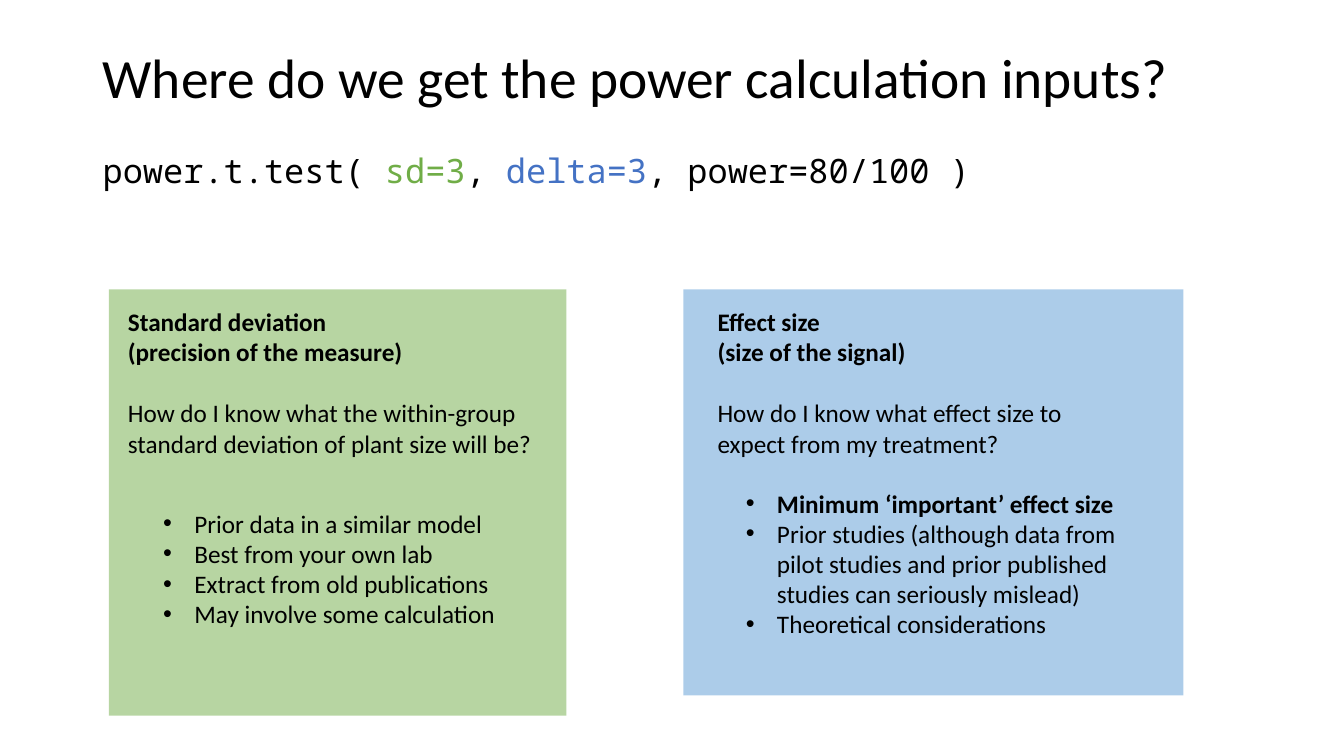
from lxml.etree import SubElement
from pptx import Presentation
from pptx.dml.color import RGBColor
from pptx.enum.shapes import MSO_SHAPE
from pptx.enum.text import MSO_ANCHOR
from pptx.oxml.ns import qn
from pptx.util import Inches, Pt

BLACK = RGBColor(0x00, 0x00, 0x00)
GREEN = RGBColor(0x70, 0xAD, 0x47)
BLUE = RGBColor(0x44, 0x72, 0xC4)
SKY = RGBColor(0x5B, 0x9B, 0xD5)


class Board:
    font = "Calibri"
    mono = "Noto Sans Mono"
    size = 18
    line = 22
    indent = 0.31

    def __init__(self, deck):
        self.wide, self.high = deck.slide_width, deck.slide_height
        self.slide = deck.slides.add_slide(deck.slide_layouts[6])

    def place(self, left, top, width, height):
        return (int(self.wide * left / 100), int(self.high * top / 100),
                int(self.wide * width / 100), int(self.high * height / 100))

    def panel(self, area, color):
        shape = self.slide.shapes.add_shape(MSO_SHAPE.RECTANGLE, *self.place(*area))
        shape.shadow.inherit = False
        shape.line.fill.background()
        shape.fill.solid()
        shape.fill.fore_color.rgb = color
        tint = shape._element.spPr.find(".//" + qn("a:srgbClr"))
        SubElement(tint, qn("a:alpha"), val="50000")

    def frame(self, area):
        frame = self.slide.shapes.add_textbox(*self.place(*area)).text_frame
        frame.word_wrap = True
        return frame

    def words(self, par, text, size=size, font=font, color=BLACK, bold=False):
        run = par.add_run()
        run.text = text
        run.font.size, run.font.name, run.font.bold = Pt(size), font, bold
        run.font.color.rgb = color

    def title(self, area, text):
        frame = self.frame(area)
        frame.vertical_anchor = MSO_ANCHOR.MIDDLE
        frame.paragraphs[0].line_spacing = 0.9
        self.words(frame.paragraphs[0], text, size=39.6)

    def code(self, area, parts):
        par = self.frame(area).paragraphs[0]
        par.line_spacing = 0.9
        for text, color in parts:
            self.words(par, text, 24, self.mono, color)

    def topic(self, area, heads, query):
        frame = self.frame(area)
        par = frame.paragraphs[0]
        for head in heads:
            self.words(par, head, bold=True)
            par = frame.add_paragraph()
        par.space_before = Pt(self.line)
        self.words(par, query)

    def bullets(self, area, items, strong=()):
        frame = self.frame(area)
        for rank, item in enumerate(items):
            par = frame.add_paragraph() if rank else frame.paragraphs[0]
            props = par._p.get_or_add_pPr()
            props.set("marL", str(Inches(self.indent)))
            props.set("indent", str(-Inches(self.indent)))
            SubElement(props, qn("a:buFont"), typeface="Arial")
            SubElement(props, qn("a:buChar"), char="•")
            self.words(par, item, bold=item in strong)


def main():
    deck = Presentation()
    deck.slide_width, deck.slide_height = Inches(13.33), Inches(7.5)
    board = Board(deck)

    board.panel((50.85, 38.27, 37.2, 53.73), SKY)
    board.panel((8.1, 38.27, 34.05, 56.4), GREEN)
    board.title((6.9, 5.33, 86.25, 10.67), "Where do we get the power calculation inputs?")
    board.code((6.9, 19.73, 86.25, 8), [
        ("power.t.test( ", BLACK), ("sd=3", GREEN), (", ", BLACK),
        ("delta=3", BLUE), (", power=80/100 )", BLACK)])

    board.topic((8.78, 39.87, 31.95, 21.6),
                ["Standard deviation", "(precision of the measure)"],
                "How do I know what the within-group standard deviation of plant size will be?")
    board.topic((52.65, 39.87, 29.48, 21.6),
                ["Effect size", "(size of the signal)"],
                "How do I know what effect size to expect from my treatment?")

    board.bullets((11.4, 66.53, 27.53, 17.47), [
        "Prior data in a similar model", "Best from your own lab",
        "Extract from old publications", "May involve some calculation"])
    least = "Minimum ‘important’ effect size"
    board.bullets((54.75, 63.87, 29.48, 21.6), [
        least,
        "Prior studies (although data from pilot studies and prior published "
        "studies can seriously mislead)",
        "Theoretical considerations"], strong=[least])

    deck.save("out.pptx")


if __name__ == "__main__":
    main()
